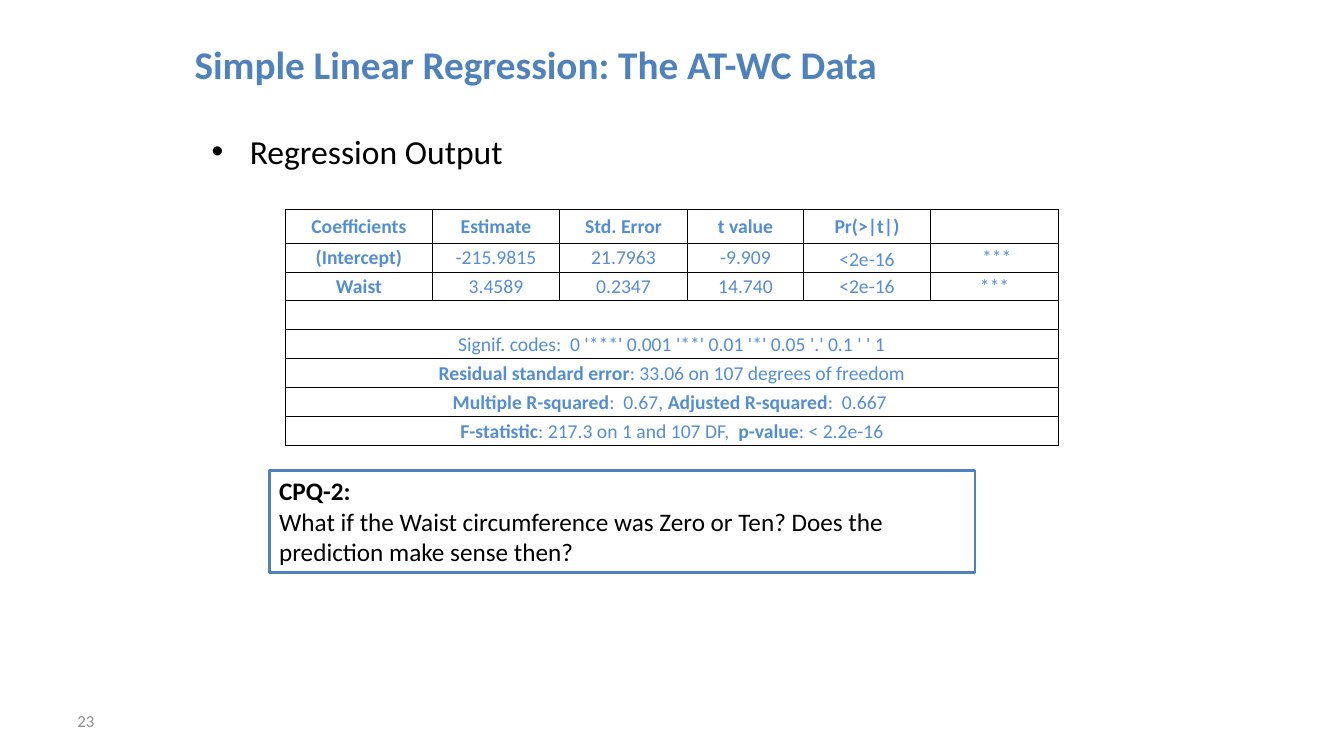
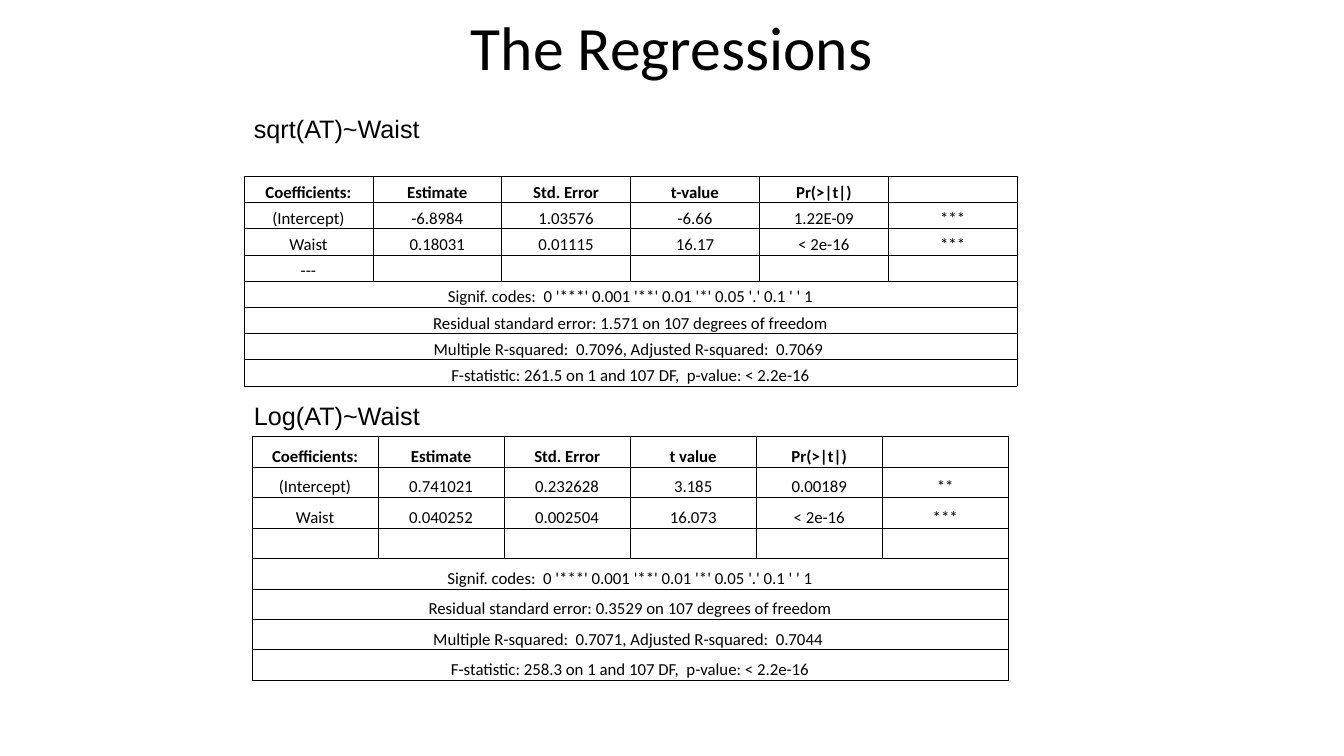
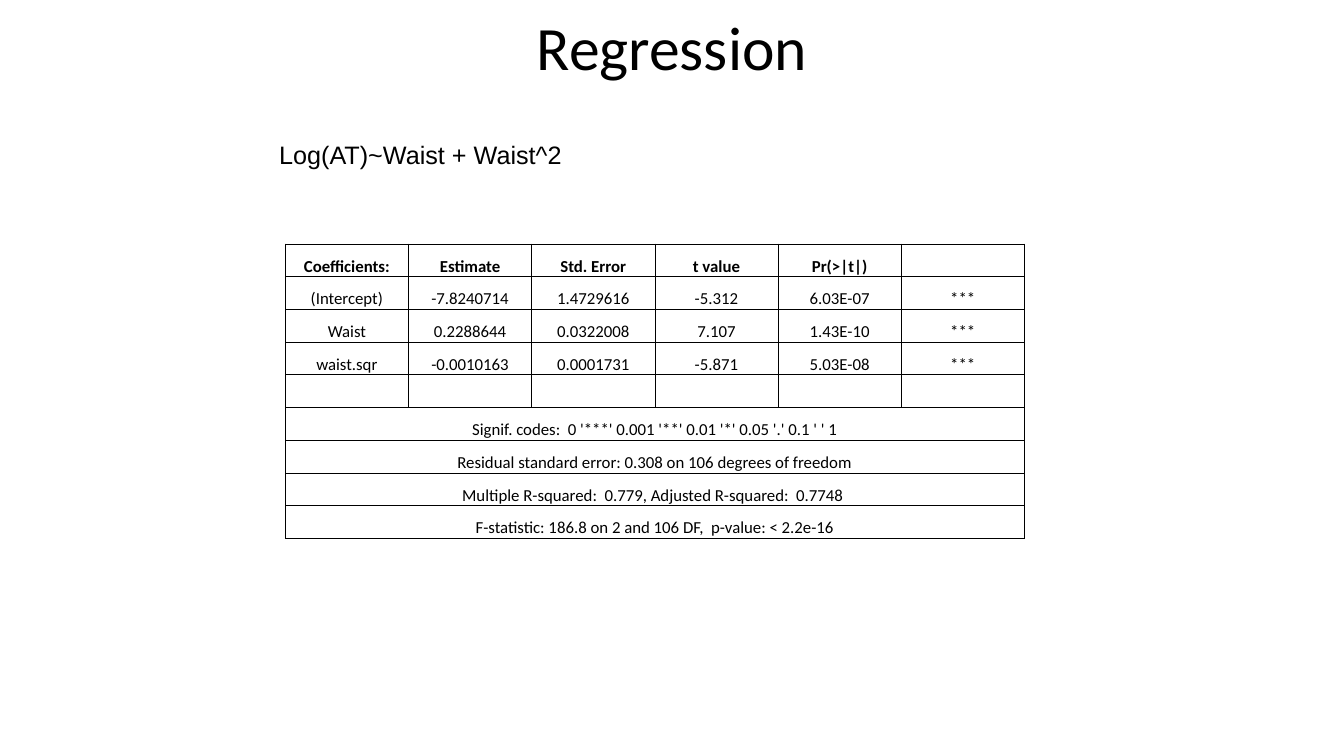
"""Builds three slides of regression output for the AT-WC data."""
from dataclasses import dataclass

from lxml.etree import SubElement
from pptx import Presentation
from pptx.dml.color import RGBColor
from pptx.enum.shapes import MSO_SHAPE as Shape
from pptx.enum.text import MSO_ANCHOR as Anchor, MSO_AUTO_SIZE as Fit, PP_ALIGN as Align
from pptx.oxml.ns import qn
from pptx.util import Inches, Pt


@dataclass(frozen=True)
class Theme:
    face: str = "Calibri"
    label_face: str = "Arial"
    black: str = "000000"
    white: str = "FFFFFF"
    blue: str = "4F81BD"
    table_blue: str = "538DD5"
    grey: str = "8C8C8C"
    title: int = 44
    small_title: int = 28
    bullet: int = 24
    body: int = 18
    large_cell: int = 14
    cell: int = 12


THEME = Theme()
SIGNIF = "Signif. codes:  0 '***' 0.001 '**' 0.01 '*' 0.05 '.' 0.1 ' ' 1"
EDGES = ("a:lnL", "a:lnR", "a:lnT", "a:lnB")
MARGINS = {"margin_left": Inches(0.01), "margin_right": Inches(0.01),
           "margin_top": Inches(0.01), "margin_bottom": 0}


def write(para, text, size, color=THEME.black, face=THEME.face, bold=False):
    """Writes a string, or a tuple of spans that alternate bold and regular."""
    spans = [(text, bold)] if isinstance(text, str) else [
        (part, index % 2 == 0) for index, part in enumerate(text)]
    for part, heavy in spans:
        span = para.add_run()
        span.text = part
        for name, value in {"size": Pt(size), "name": face, "bold": heavy}.items():
            setattr(span.font, name, value)
        span.font.color.rgb = RGBColor.from_string(color)


def add_output(page, place, widths, header, rows, notes, size=THEME.cell,
               color=THEME.black, anchor=Anchor.BOTTOM, header_height=None,
               bold_names=False):
    """Adds a bordered coefficient table with full-width notes below it."""
    left, top, width, height = map(Inches, place)
    lines = [header, *rows, *([note] for note in notes)]
    table = page.shapes.add_table(len(lines), len(widths), left, top, width, height).table
    table.first_row = table.horz_banding = False
    for column, column_width in zip(table.columns, widths):
        column.width = Inches(column_width)
    first = Inches(header_height) if header_height else height // len(lines)
    for row_index, line in enumerate(lines):
        table.rows[row_index].height = (
            first if row_index == 0 else (height - first) // (len(lines) - 1))
        if row_index > len(rows):
            table.cell(row_index, 0).merge(table.cell(row_index, len(widths) - 1))
        for index in range(len(widths)):
            cell = table.cell(row_index, index)
            for name, value in {**MARGINS, "vertical_anchor": anchor}.items():
                setattr(cell, name, value)
            properties = cell._tc.get_or_add_tcPr()
            for edge in EDGES:
                border = SubElement(properties, qn(edge), w=str(Pt(0.5)))
                fill = SubElement(border, qn("a:solidFill"))
                SubElement(fill, qn("a:srgbClr"), val=THEME.black)
            cell.fill.background()
            para = cell.text_frame.paragraphs[0]
            para.alignment = Align.CENTER
            if index < len(line) and line[index]:
                bold = row_index == 0 or (
                    bold_names and index == 0 and row_index <= len(rows))
                write(para, line[index], size, color, bold=bold)
            else:
                SubElement(para._p, qn("a:endParaRPr"), sz=str(size * 100))
    return table


deck = Presentation()
deck.slide_width, deck.slide_height = Inches(13.33), Inches(7.5)

titles = [
    ("Simple Linear Regression: The AT-WC Data", (1.83, 0.42, 9.67, 0.5),
     THEME.small_title, THEME.blue, True, Anchor.BOTTOM, Align.LEFT),
    *((text, (1.83, 0, 9.67, 0.92), THEME.title, THEME.black, False,
       Anchor.MIDDLE, Align.CENTER) for text in ("The Regressions", "Regression")),
]
pages = []
for text, place, size, color, bold, anchor, alignment in titles:
    page = deck.slides.add_slide(deck.slide_layouts[5])
    title = page.shapes.title
    title.left, title.top, title.width, title.height = map(Inches, place)
    frame = title.text_frame
    for name, value in {"auto_size": Fit.NONE, "word_wrap": True,
                        "vertical_anchor": anchor}.items():
        setattr(frame, name, value)
    frame.paragraphs[0].alignment = alignment
    write(frame.paragraphs[0], text, size, color, bold=bold)
    pages.append(page)
data_page, models_page, square_page = pages

number = data_page.shapes.add_textbox(*map(Inches, (0.67, 6.95, 3.11, 0.4)))
number.text_frame.vertical_anchor = Anchor.MIDDLE
number.text_frame.word_wrap = True
write(number.text_frame.paragraphs[0], "23", THEME.cell, THEME.grey)

heading = data_page.shapes.add_textbox(*map(Inches, (2, 1.25, 9.67, 0.58)))
heading.text_frame.word_wrap = True
para = heading.text_frame.paragraphs[0]
indent = para._p.get_or_add_pPr()
indent.set("marL", str(Inches(0.38)))
indent.set("indent", str(-Inches(0.38)))
SubElement(indent, qn("a:buFont"), typeface=THEME.label_face)
SubElement(indent, qn("a:buChar"), char="•")
write(para, "Regression Output", THEME.bullet)

output = add_output(
    data_page, (2.83, 2.08, 7.67, 2.34), (1.46, 1.26, 1.27, 1.15, 1.26, 1.27),
    ["Coefficients", "Estimate", "Std. Error", "t value", "Pr(>|t|)"],
    [["(Intercept)", "-215.9815", "21.7963", "-9.909", "<2e-16", " ***"],
     ["Waist", "3.4589", "0.2347", "14.740", "<2e-16", "***"]],
    ["", SIGNIF,
     ("Residual standard error", ": 33.06 on 107 degrees of freedom"),
     ("Multiple R-squared", ":  0.67, ", "Adjusted R-squared", ":  0.667 "),
     ("F-statistic", ": 217.3 on 1 and 107 DF,  ", "p-value", ": < 2.2e-16")],
    size=THEME.large_cell, color=THEME.table_blue, anchor=Anchor.MIDDLE,
    header_height=0.33, bold_names=True)
output.cell(1, 4).vertical_anchor = Anchor.BOTTOM

question = data_page.shapes.add_shape(Shape.RECTANGLE, *map(Inches, (2.67, 4.67, 7, 1.01)))
question.shadow.inherit = False
question.fill.solid()
question.fill.fore_color.rgb = RGBColor.from_string(THEME.white)
question.line.color.rgb = RGBColor.from_string(THEME.blue)
question.line.width = Pt(2)
frame = question.text_frame
for name, value in {"word_wrap": True, "vertical_anchor": Anchor.TOP,
                    "auto_size": Fit.SHAPE_TO_FIT_TEXT}.items():
    setattr(frame, name, value)
lines = [("CPQ-2:", True),
         ("What if the Waist circumference was Zero or Ten? "
          "Does the prediction make sense then?", False)]
for index, (text, bold) in enumerate(lines):
    para = frame.add_paragraph() if index else frame.paragraphs[0]
    para.alignment = Align.LEFT
    write(para, text, THEME.body, bold=bold)

models = [
    (models_page, "sqrt(AT)~Waist", (2.42, 1.08, 1.86, 0.4), False,
     (2.42, 1.75, 7.67, 2.08), "t-value",
     [["(Intercept)", "-6.8984", "1.03576", "-6.66", "1.22E-09", "***"],
      ["Waist", "0.18031", "0.01115", "16.17", "< 2e-16", "***"],
      ["---"]],
     ["Residual standard error: 1.571 on 107 degrees of freedom",
      "Multiple R-squared:  0.7096, Adjusted R-squared:  0.7069 ",
      "F-statistic: 261.5 on 1 and 107 DF,  p-value: < 2.2e-16"]),
    (models_page, "Log(AT)~Waist", (2.42, 3.92, 2.17, 0.4), True,
     (2.5, 4.33, 7.5, 2.42), "t value",
     [["(Intercept)", "0.741021", "0.232628", "3.185", "0.00189", "**"],
      ["Waist", "0.040252", "0.002504", "16.073", "< 2e-16", "***"],
      []],
     ["Residual standard error: 0.3529 on 107 degrees of freedom",
      "Multiple R-squared:  0.7071, Adjusted R-squared:  0.7044 ",
      "F-statistic: 258.3 on 1 and 107 DF,  p-value: < 2.2e-16"]),
    (square_page, "Log(AT)~Waist + Waist^2", (2.67, 1.33, 3.33, 0.4), True,
     (2.83, 2.42, 7.33, 2.92), "t value",
     [["(Intercept)", "-7.8240714", "1.4729616", "-5.312", "6.03E-07", "***"],
      ["Waist", "0.2288644", "0.0322008", "7.107", "1.43E-10", "***"],
      ["waist.sqr", "-0.0010163", "0.0001731", "-5.871", "5.03E-08", "***"],
      []],
     ["Residual standard error: 0.308 on 106 degrees of freedom",
      "Multiple R-squared:  0.779, Adjusted R-squared:  0.7748 ",
      "F-statistic: 186.8 on 2 and 106 DF,  p-value: < 2.2e-16"]),
]
for page, formula, label_place, wrap, place, t_name, rows, notes in models:
    add_output(page, place, [place[2] / 6] * 6,
               ["Coefficients:", "Estimate", "Std. Error", t_name, "Pr(>|t|)"],
               rows, [SIGNIF, *notes])
    label = page.shapes.add_textbox(*map(Inches, label_place))
    label.text_frame.word_wrap = wrap
    label.text_frame.auto_size = Fit.SHAPE_TO_FIT_TEXT
    write(label.text_frame.paragraphs[0], formula, THEME.body, face=THEME.label_face)

deck.save("out.pptx")
